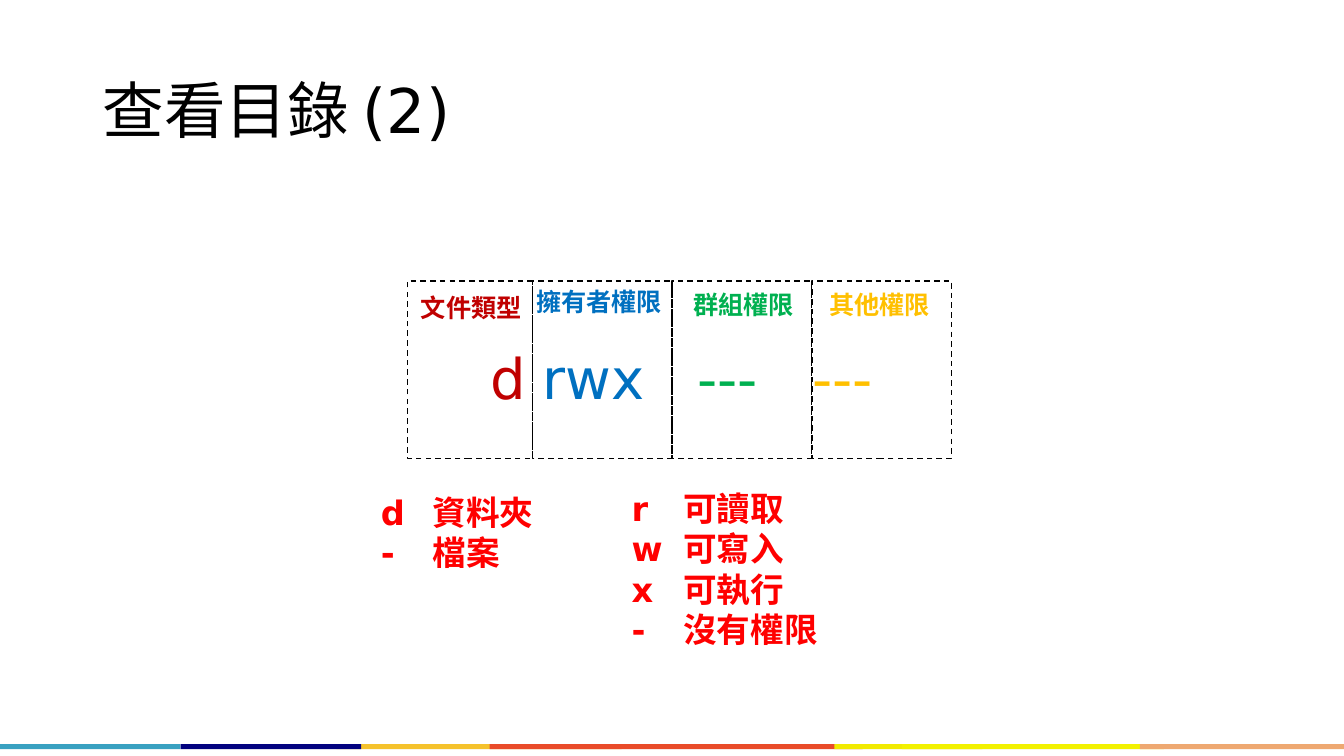
from pptx import Presentation
from pptx.dml.color import RGBColor
from pptx.enum.dml import MSO_LINE_DASH_STYLE as Dash
from pptx.enum.shapes import MSO_SHAPE as Shape
from pptx.enum.text import MSO_ANCHOR as Anchor, MSO_AUTO_SIZE as AutoSize, PP_ALIGN as Align
from pptx.oxml.xmlchemy import OxmlElement
from pptx.util import Cm, Pt


def colour(value):
    return RGBColor.from_string(value)


class SlideBuilder:
    """Holds the style and the current slide, and adds each kind of element."""

    font = "DejaVu Sans"

    def __init__(self, deck):
        self.slide = deck.slides.add_slide(deck.slide_layouts[5])

    def style(self, span, size, hue, bold=False):
        span.font.name = self.font
        span.font.size = Pt(size)
        span.font.bold = bold
        span.font.color.rgb = colour(hue)

    def place(self, shape, left, top, width, height):
        shape.left, shape.top = Cm(left), Cm(top)
        shape.width, shape.height = Cm(width), Cm(height)

    def title(self, text, *place):
        box = self.slide.shapes.title
        self.place(box, *place)
        frame = box.text_frame
        frame.text = text
        frame.auto_size = AutoSize.NONE
        frame.vertical_anchor = Anchor.MIDDLE
        para = frame.paragraphs[0]
        para.alignment = Align.LEFT
        para.line_spacing = 0.9
        self.style(para.runs[0], 44, "000000")

    def text(self, lines, size, place, bold=False, stops=()):
        box = self.slide.shapes.add_textbox(*map(Cm, place))
        frame = box.text_frame
        frame.word_wrap = True
        frame.text = "\n" * (len(lines) - 1)
        for para, spans in zip(frame.paragraphs, lines):
            self.tab_stops(para, stops)
            for words, hue in spans:
                span = para.add_run()
                span.text = words
                self.style(span, size, hue, bold)

    def tab_stops(self, para, stops):
        if stops:
            tabs = OxmlElement("a:tabLst")
            para._p.get_or_add_pPr().append(tabs)
            for stop in stops:
                tab = OxmlElement("a:tab")
                tab.set("pos", str(Cm(stop)))
                tab.set("algn", "l")
                tabs.append(tab)

    def rectangle(self, *place, fill=None):
        box = self.slide.shapes.add_shape(Shape.RECTANGLE, *map(Cm, place))
        box.shadow.inherit = False
        if fill:
            box.fill.solid()
            box.fill.fore_color.rgb = colour(fill)
            box.line.fill.background()
        else:
            box.fill.background()
            box.line.color.rgb = colour("000000")
            box.line.width = Pt(1)
            box.line.dash_style = Dash.DASH


deck = Presentation()
deck.slide_width, deck.slide_height = Cm(33.87), Cm(19.05)
builder = SlideBuilder(deck)

stripes = [
    (0, 4.55, "39A1C1"), (8.48, 7.19, "F5C22C"), (12.34, 9.4, "E94B29"),
    (21.03, 3.73, "F1EA00"), (22.73, 6.6, "F2F100"), (28.73, 5.14, "EEA871"),
    (4.55, 4.55, "02027F"),
]
for left, width, fill in stripes:
    builder.rectangle(left, 18.75, width, 0.13, fill=fill)

builder.title("查看目錄 (2)", 2.33, 1.01, 29.21, 3.68)

columns = [
    ("文件類型", "d", "C00000", 3.15, 10.36, 7.24),
    ("擁有者權限", "rwx", "0070C0", 3.52, 13.26, 7.09),
    ("群組權限", "---", "00B050", 3.52, 17.22, 7.16),
    ("其他權限", "---", "FFC000", 3.52, 20.65, 7.16),
]
cell_left = 10.27
symbols = []
for label, symbol, hue, width, label_left, label_top in columns:
    builder.rectangle(cell_left, 7.08, width, 4.47)
    builder.text([[(label, hue)]], 18, (label_left, label_top, 3.9, 1.02), bold=True)
    symbols.append(("\t" + symbol if symbols else symbol, hue))
    cell_left += width
builder.text([symbols], 40, (12.12, 8.53, 12.42, 1.96), stops=(1.3, 5.2, 8.1))

legends = [
    (["r\t可讀取", "w\t可寫入", "x\t可執行", "-\t沒有權限"], (15.67, 12.17, 5.54, 4.37)),
    (["d\t資料夾", "-\t檔案"], (9.35, 12.27, 5.54, 3.33)),
]
for entries, place in legends:
    builder.text([[(entry, "FF0000")] for entry in entries], 24, place, bold=True, stops=(1.3,))

deck.save("out.pptx")
